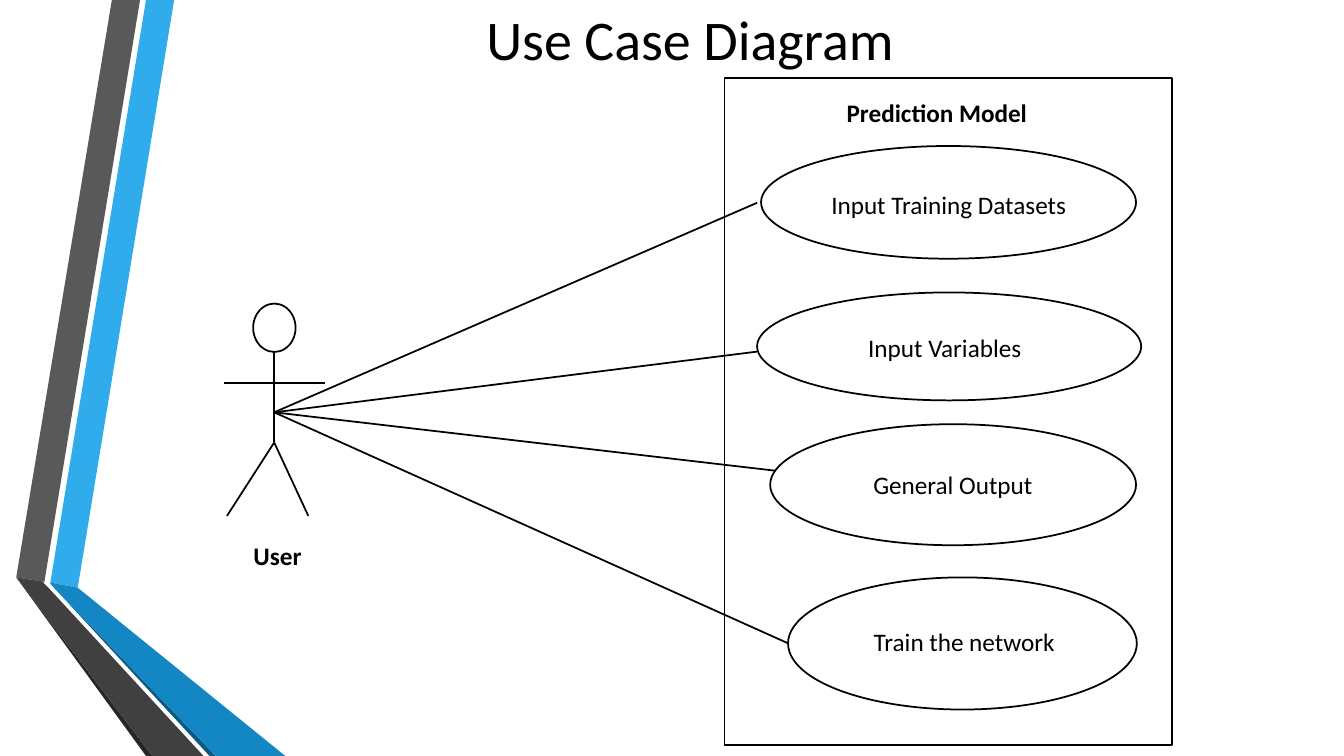
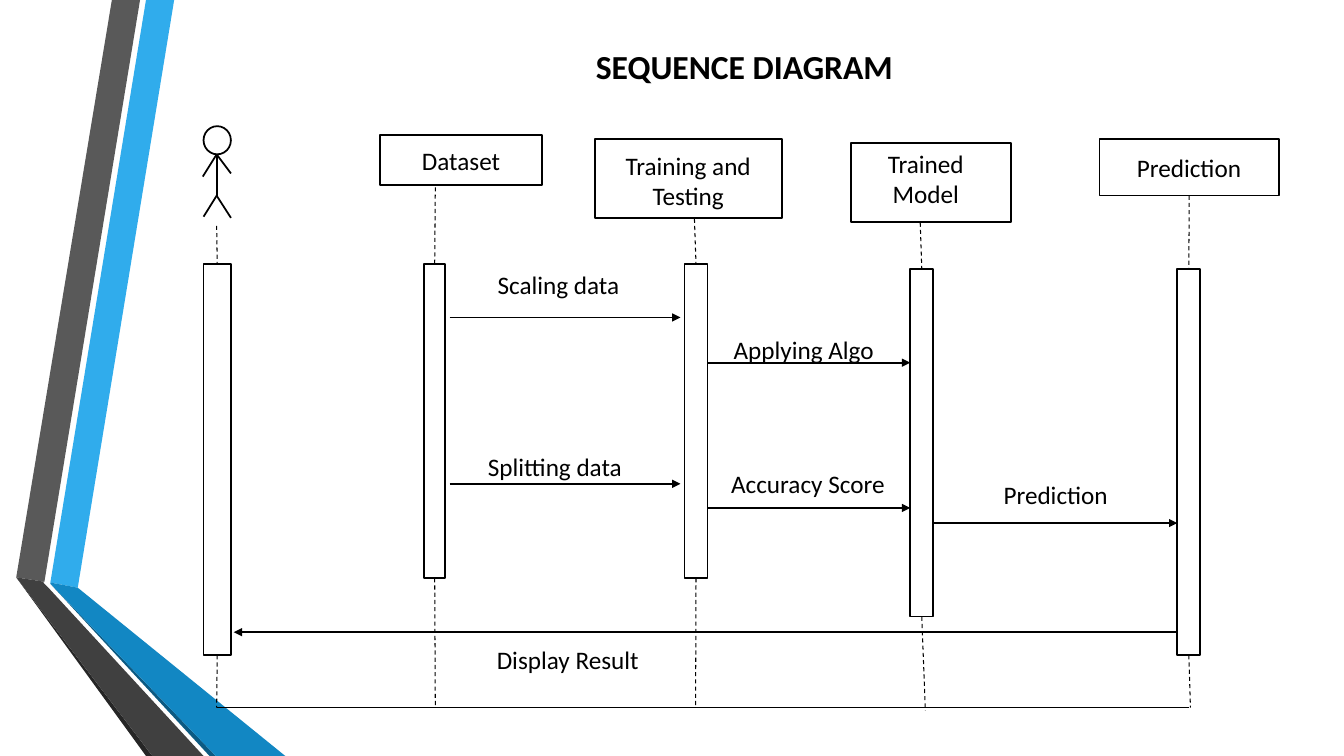
"""Build a use case diagram slide and a sequence diagram slide."""
from typing import Any, NamedTuple

from pptx import Presentation
from pptx.dml.color import RGBColor
from pptx.enum.dml import MSO_LINE
from pptx.enum.shapes import MSO_CONNECTOR, MSO_SHAPE
from pptx.enum.text import MSO_AUTO_SIZE, PP_ALIGN
from pptx.oxml.ns import qn
from pptx.util import Cm, Pt
from lxml.etree import SubElement

BLACK = RGBColor(0x00, 0x00, 0x00)
WHITE = RGBColor(0xFF, 0xFF, 0xFF)
SKY = RGBColor(0x30, 0xAC, 0xEC)
BLUE = RGBColor(0x12, 0x87, 0xC3)
NAVY = RGBColor(0x0C, 0x5A, 0x82)
GREY = RGBColor(0x59, 0x59, 0x59)
DARK = RGBColor(0x40, 0x40, 0x40)
COAL = RGBColor(0x26, 0x26, 0x26)

RECT, OVAL = MSO_SHAPE.RECTANGLE, MSO_SHAPE.OVAL
TOP, BOTTOM = 0, 2
ROW = 1.02

BANDS = [
    (SKY, [(1.27, 14.68), (1.96, 14.81), (4.39, 0), (3.68, 0)]),
    (GREY, [(3.53, 0), (2.82, 0), (0.41, 14.55), (1.12, 14.66)]),
    (COAL, [(0.41, 14.55), (3.68, 19.05), (3.84, 19.05)]),
    (NAVY, [(1.27, 14.71), (5.28, 19.05), (5.44, 19.05)]),
    (BLUE, [(1.27, 14.68), (1.27, 14.71), (5.44, 19.05), (7.19, 19.05),
            (1.96, 14.81)]),
    (DARK, [(5.13, 19.05), (1.22, 14.81), (1.09, 14.68), (1.12, 14.66),
            (0.41, 14.55), (3.84, 19.05)]),
]


class Side(NamedTuple):
    shape: Any
    site: int


class Deck:
    font = {"name": "Calibri", "size": Pt(18), "bold": False}
    outline = {"width": Pt(1.25)}
    dashed = {"width": Pt(0.75), "dash_style": MSO_LINE.DASH}

    def __init__(self):
        self.prs = Presentation()
        self.prs.slide_width, self.prs.slide_height = Cm(33.87), Cm(19.05)

    def slide(self):
        self.s = self.prs.slides.add_slide(self.prs.slide_layouts[6])
        for color, points in BANDS:
            self.band(color, points)

    def band(self, color, points):
        (x, y), *rest = [(Cm(x), Cm(y)) for x, y in points]
        fb = self.s.shapes.build_freeform(x, y)
        fb.add_line_segments(rest, close=True)
        sp = fb.convert_to_shape()
        sp.shadow.inherit = False
        sp.fill.solid()
        sp.fill.fore_color.rgb = color
        sp.line.fill.background()

    def text(self, text, x, y, w, h=ROW, align=PP_ALIGN.CENTER, **fmt):
        tf = self.s.shapes.add_textbox(Cm(x), Cm(y), Cm(w), Cm(h)).text_frame
        tf.word_wrap = True
        tf.auto_size = MSO_AUTO_SIZE.SHAPE_TO_FIT_TEXT
        p = tf.paragraphs[0]
        p.alignment = align
        r = p.add_run()
        r.text = text
        r.font.color.rgb = BLACK
        for key, value in {**self.font, **fmt}.items():
            setattr(r.font, key, value)

    def shape(self, kind, x, y, w, h):
        sp = self.s.shapes.add_shape(kind, Cm(x), Cm(y), Cm(w), Cm(h))
        sp.shadow.inherit = False
        sp.fill.solid()
        sp.fill.fore_color.rgb = WHITE
        self.stroke(sp.line, self.outline)
        return sp

    def stroke(self, line, fmt):
        line.color.rgb = BLACK
        for key, value in fmt.items():
            setattr(line, key, value)

    def line(self, begin, end, arrow=False, **fmt):
        points = [(0, 0) if isinstance(e, Side) else e for e in (begin, end)]
        cx = self.s.shapes.add_connector(
            MSO_CONNECTOR.STRAIGHT, *[Cm(v) for point in points for v in point])
        for e, join in ((begin, cx.begin_connect), (end, cx.end_connect)):
            if isinstance(e, Side):
                join(*e)
        self.stroke(cx.line, {**self.outline, **fmt})
        if arrow:
            SubElement(cx.line._get_or_add_ln(), qn("a:tailEnd"), type="triangle")
        SubElement(cx._element.spPr, qn("a:effectLst"))

    def actor(self, head, limbs):
        self.shape(OVAL, *head)
        for begin, end in limbs:
            self.line(begin, end)


def use_case_slide(d):
    d.slide()
    d.text("Use Case Diagram", 10.06, 0, 14.66, 1.96, size=Pt(40))
    d.shape(RECT, 18.26, 1.96, 11.28, 16.81)
    d.text("Prediction Model", 20.27, 2.34, 6.68, bold=True)

    neck, hip, hand = (6.91, 8.86), (6.91, 11.15), (6.91, 10.39)
    d.actor((6.38, 7.65, 1.07, 1.22),
            [(neck, hip), (hip, (5.72, 13)), (hip, (7.77, 13)),
             ((8.18, 9.65), (5.64, 9.65))])
    d.text("User", 3.96, 13.49, 6.07, bold=True)

    cases = [
        ("Input Training Datasets", (19.18, 3.68, 9.45, 2.84),
         (19.96, 4.65, 7.9), (19.08, 5.11)),
        ("Input Variables", (19.08, 7.37, 9.68, 2.72),
         (19.86, 8.26, 7.9), (19.08, 8.86)),
        ("General Output", (19.41, 10.69, 9.22, 3.05),
         (20.27, 11.71, 7.49), (19.53, 11.86)),
        ("Train the network", (19.86, 14.55, 8.79, 3.33),
         (20.73, 15.67, 7.14), (19.86, 16.21)),
    ]
    for name, oval, label, target in cases:
        d.shape(OVAL, *oval)
        d.text(name, *label)
        d.line(hand, target)


def sequence_slide(d):
    d.slide()
    d.text("SEQUENCE DIAGRAM", 12.17, 1.04, 13.18, 1.27, size=Pt(24), bold=True)

    neck, hip = (5.46, 3.89), (5.46, 4.93)
    d.actor((5.13, 3.18, 0.69, 0.71),
            [(neck, hip), (hip, (5.13, 5.46)), (hip, (5.82, 5.49)),
             (neck, (5.11, 4.45)), (neck, (5.82, 4.37))])

    participants = [
        ("Dataset", (9.58, 3.4, 4.09, 1.27), (9.83, 3.53, 3.58, ROW)),
        ("Training and Testing", (14.99, 3.51, 4.72, 1.98),
         (15.34, 3.66, 4.01, 1.8)),
        ("Trained Model", (21.44, 3.61, 4.04, 1.98), (21.59, 3.61, 3.48, 1.8)),
        ("Prediction", (27.71, 3.51, 4.52, 1.42), (27.97, 3.71, 3.99, ROW)),
    ]
    for name, box, label in participants:
        sp = d.shape(RECT, *box)
        d.text(name, *label)

    lifelines = [
        ((5.46, 5.69), (5.13, 6.65, 0.69, 9.86), (5.46, 17.83)),
        ((10.97, 4.72), (10.69, 6.65, 0.53, 7.92), (10.97, 17.83)),
        ((17.5, 5.51), (17.25, 6.65, 0.58, 7.92), (17.53, 17.83)),
        ((23.19, 5.61), (22.94, 6.78, 0.58, 8.76), (23.32, 17.91)),
        (Side(sp, BOTTOM), (29.67, 6.78, 0.58, 9.73), (30, 17.83)),
    ]
    for start, bar, stop in lifelines:
        sp = d.shape(RECT, *bar)
        d.line(start, Side(sp, TOP), **d.dashed)
        d.line(Side(sp, BOTTOM), stop, **d.dashed)
    d.line((5.46, 17.83), (29.97, 17.83))

    messages = [
        ("Scaling data", (11.51, 6.65, 5.13), 11.33, 17.15, 8, {}),
        ("Splitting data", (11.33, 11.25, 5.31), 11.33, 17.15, 12.19,
         {"width": Pt(1.75)}),
        ("Applying Algo", (17.93, 8.31, 4.65), 17.83, 22.94, 9.14, {}),
        ("Accuracy Score", (17.96, 11.68, 4.8), 17.83, 22.94, 12.8, {}),
        ("Prediction", (23.72, 11.96, 5.77), 23.52, 29.67, 13.18, {}),
    ]
    for name, label, x1, x2, y, fmt in messages:
        d.line((x1, y), (x2, y), arrow=True, **fmt)
        d.text(name, *label)
    d.line((29.67, 15.93), (5.89, 15.93), arrow=True)
    d.text("Display Result", 12.27, 16.1, 6.15, align=PP_ALIGN.LEFT)


def main():
    d = Deck()
    use_case_slide(d)
    sequence_slide(d)
    d.prs.save("out.pptx")


if __name__ == "__main__":
    main()
